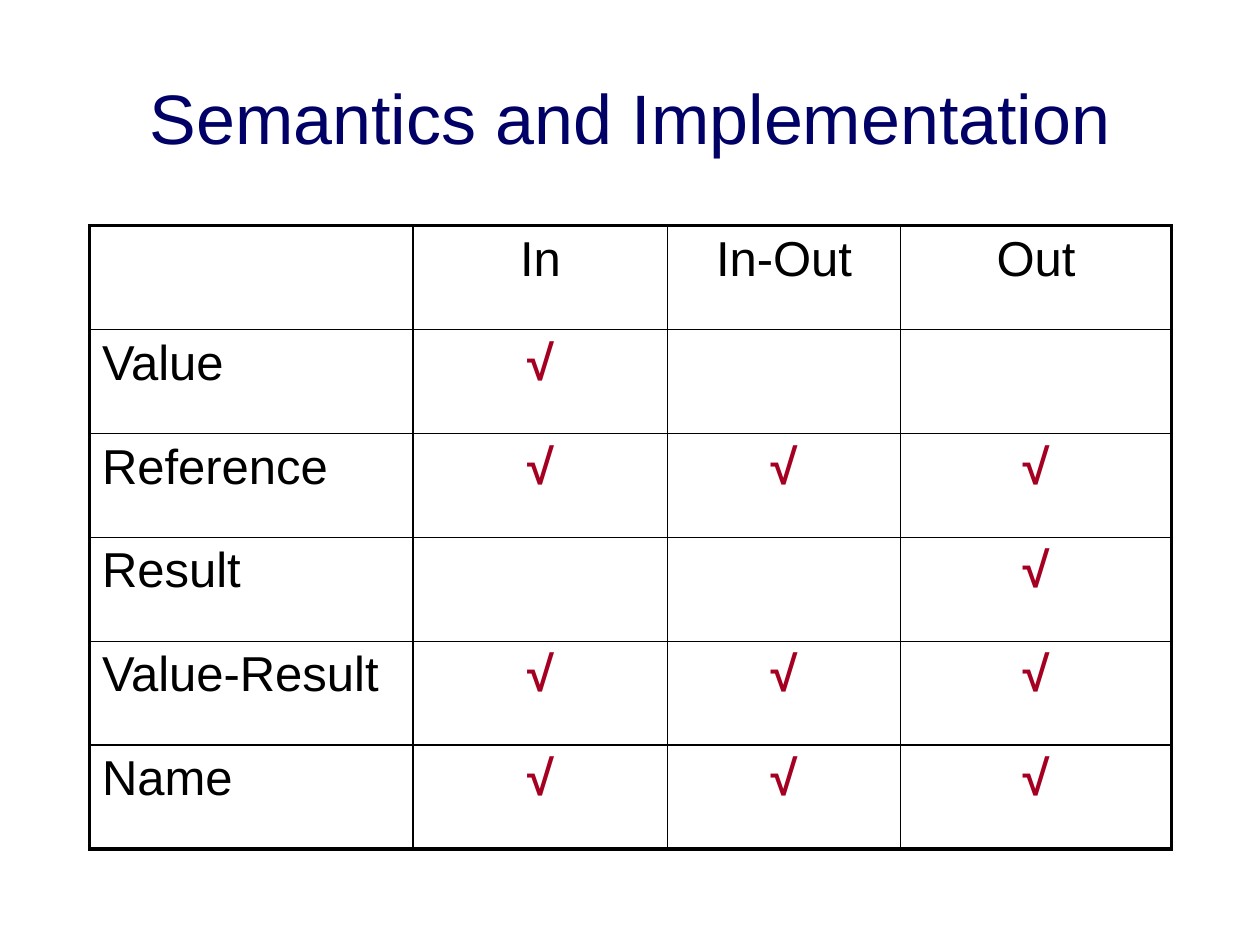
"""Build a slide with a table of parameter passing semantics and implementations."""
from lxml import etree
from pptx import Presentation
from pptx.dml.color import RGBColor
from pptx.enum import text
from pptx.oxml import ns
from pptx.util import Pt

TITLE = "Semantics and Implementation"
CHECK = "√"
MODES = ["In", "In-Out", "Out"]
SUPPORT = {
    "Value": ["In"],
    "Reference": ["In", "In-Out", "Out"],
    "Result": ["Out"],
    "Value-Result": ["In", "In-Out", "Out"],
    "Name": ["In", "In-Out", "Out"],
}
COLORS = {"title": "000066", "text": "000000", "check": "A50021", "border": "000000"}
FONT = "Arial"
COLUMN_WIDTHS = [185, 145.5, 133, 155]
ROW_HEIGHT = 59.4
TABLE_LEFT, TABLE_TOP = 51.1, 128.9
INNER_LINE, OUTER_LINE = 1, 2.25


def write(frame, words, size, color, centered=True, bold=False):
    frame.text = words
    para = frame.paragraphs[0]
    para.alignment = text.PP_ALIGN.CENTER if centered else text.PP_ALIGN.LEFT
    for span in para.runs:
        span.font.name = FONT
        span.font.size = Pt(size)
        span.font.bold = bold
        span.font.color.rgb = RGBColor.from_string(COLORS[color])


def set_borders(cell, outer_sides):
    properties = cell._tc.get_or_add_tcPr()
    for position, (side, outer) in enumerate(outer_sides.items()):
        width = OUTER_LINE if outer else INNER_LINE
        line = etree.Element(ns.qn("a:ln" + side), w=str(Pt(width)))
        fill = etree.SubElement(line, ns.qn("a:solidFill"))
        etree.SubElement(fill, ns.qn("a:srgbClr"), val=COLORS["border"])
        properties.insert(position, line)


deck = Presentation()
deck.slide_width, deck.slide_height = Pt(720), Pt(540)
page = deck.slides.add_slide(deck.slide_layouts[6])

title = page.shapes.add_textbox(Pt(36), Pt(21.6), Pt(648), Pt(90)).text_frame
title.word_wrap = True
title.vertical_anchor = text.MSO_ANCHOR.MIDDLE
write(title, TITLE, 40, "title")

rows = [[""] + MODES]
for method, modes in SUPPORT.items():
    rows.append([method] + [CHECK if mode in modes else "" for mode in MODES])
last_row, last_column = len(rows) - 1, len(MODES)

table = page.shapes.add_table(
    len(rows), len(COLUMN_WIDTHS), Pt(TABLE_LEFT), Pt(TABLE_TOP),
    Pt(sum(COLUMN_WIDTHS)), Pt(ROW_HEIGHT * len(rows))).table
table.first_row = table.horz_banding = False
for column, width in zip(table.columns, COLUMN_WIDTHS):
    column.width = Pt(width)

for r, values in enumerate(rows):
    table.rows[r].height = Pt(ROW_HEIGHT)
    for c, value in enumerate(values):
        cell = table.cell(r, c)
        cell.fill.background()
        checked = value == CHECK
        write(cell.text_frame, value, 28, "check" if checked else "text",
              centered=c > 0, bold=checked)
        set_borders(cell, {"L": c == 0, "R": c == last_column,
                           "T": r == 0, "B": r == last_row})

deck.save("out.pptx")
